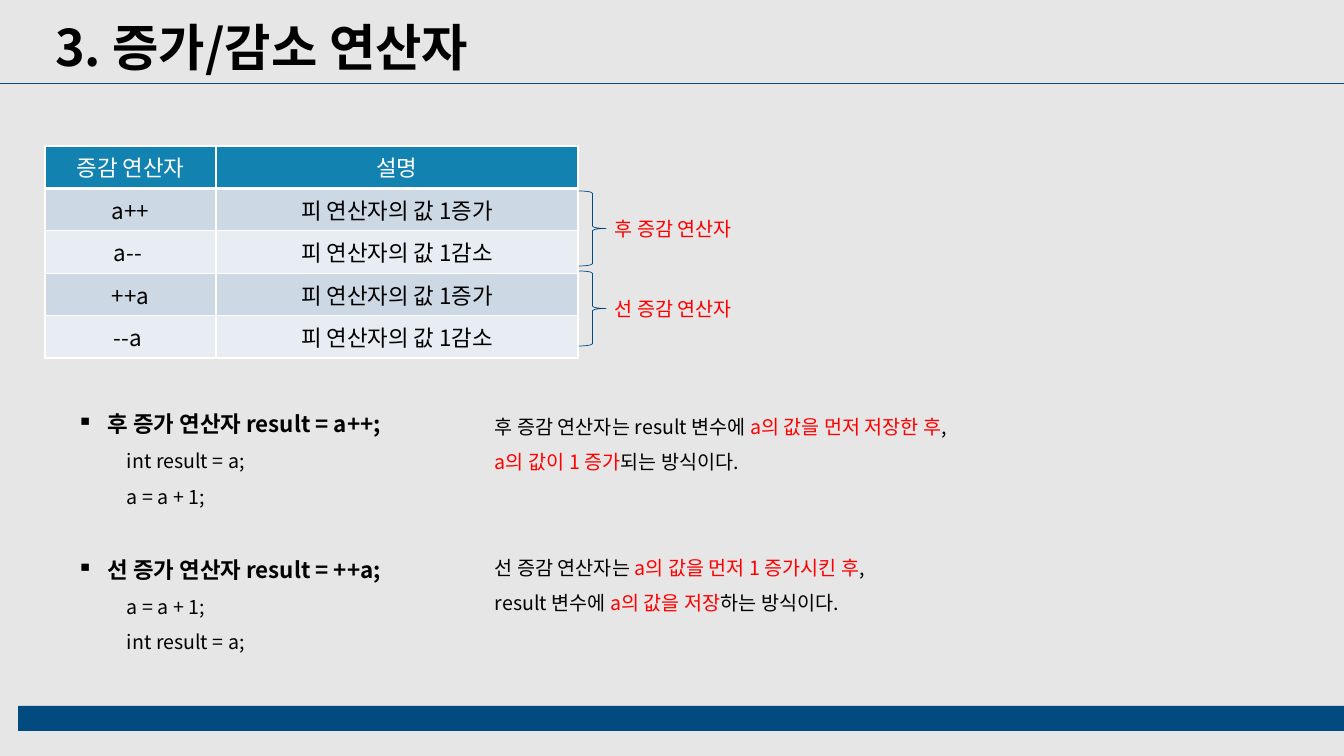
from collections import namedtuple
from dataclasses import dataclass

from lxml.etree import SubElement
from pptx import Presentation
from pptx.dml.color import RGBColor
from pptx.enum.shapes import MSO_CONNECTOR as Connector, MSO_SHAPE as Shape
from pptx.enum.text import MSO_ANCHOR as Anchor, MSO_AUTO_SIZE as AutoSize, PP_ALIGN as Align
from pptx.oxml.ns import qn
from pptx.util import Emu, Pt

Box = namedtuple("Box", "left top width height")


@dataclass(frozen=True)
class Theme:
    font: str = "Noto Sans CJK KR"
    page: str = "E7E6E6"
    navy: str = "024B80"
    header: str = "1282B0"
    bands: tuple = ("CCD8E4", "E7EDF2")
    ink: str = "000000"
    accent: str = "FF0000"
    white: str = "FFFFFF"
    title: int = 36
    heading: int = 16
    body: int = 14
    hairline: float = 0.5


THEME = Theme()
ROW_HEIGHT = 41
OPERATORS = [
    ("증감 연산자", "설명"),
    ("a++", "피 연산자의 값 1증가"),
    ("a-- ", "피 연산자의 값 1감소"),
    ("++a", "피 연산자의 값 1증가"),
    ("--a ", "피 연산자의 값 1감소"),
]
GROUPS = ["후 증감 연산자", "선 증감 연산자"]
EXAMPLES = [
    ("후 증가 연산자 result = a++;", ["int result = a;", "a = a + 1;"]),
    ("선 증가 연산자 result = ++a;", ["a = a + 1;", "int result = a;"]),
]
POST_NOTE = [
    [("후 증감 연산자는 result 변수에 ", THEME.ink), ("a의 값을 먼저 저장한 후", THEME.accent), (",", THEME.ink)],
    [("a의 값이 1 증가", THEME.accent), ("되는 방식이다.", THEME.ink)],
]
PRE_NOTE = [
    [("선 증감 연산자는 ", THEME.ink), ("a의 값을 먼저 1 증가시킨 후", THEME.accent), (",", THEME.ink)],
    [("result 변수에 ", THEME.ink), ("a의 값을 저장", THEME.accent), ("하는 방식이다.", THEME.ink)],
]


def px(length):
    return Emu(round(length * 914400 / 100.8))


def place(box):
    return [px(length) for length in box]


def apply(target, values):
    for name, value in values.items():
        setattr(target, name, value)


def add_span(para, text, size, color, bold=False):
    span = para.add_run()
    span.text = text
    apply(span.font, {"name": THEME.font, "size": Pt(size), "bold": bold})
    span.font.color.rgb = RGBColor.from_string(color)
    SubElement(span.font._element, qn("a:ea"), typeface=THEME.font)


def add_text_box(slide, box, anchor=Anchor.TOP):
    frame = slide.shapes.add_textbox(*place(box)).text_frame
    apply(frame, {"word_wrap": True, "vertical_anchor": anchor})
    return frame


def next_para(frame, index):
    return frame.add_paragraph() if index else frame.paragraphs[0]


def set_indent(para, margin, indent, bullet=None):
    props = para._p.get_or_add_pPr()
    props.set("marL", str(px(margin)))
    props.set("indent", str(px(indent)))
    if bullet:
        SubElement(props, qn("a:buChar"), char=bullet)


def set_line(shape):
    shape.line.color.rgb = RGBColor.from_string(THEME.navy)
    shape.line.width = Pt(THEME.hairline)


def set_borders(cell, widths):
    props = cell._tc.get_or_add_tcPr()
    for side, width in widths.items():
        line = SubElement(props, qn(f"a:ln{side}"), w=str(Pt(width)))
        fill = SubElement(line, qn("a:solidFill"))
        SubElement(fill, qn("a:srgbClr"), val=THEME.white)


def add_footer_bar(slide, box):
    bar = slide.shapes.add_shape(Shape.RECTANGLE, *place(box))
    bar.shadow.inherit = False
    bar.fill.solid()
    bar.fill.fore_color.rgb = RGBColor.from_string(THEME.navy)
    bar.line.fill.background()


def add_title(slide, box, text):
    title = slide.shapes.title
    apply(title, dict(zip(Box._fields, place(box))))
    frame = title.text_frame
    apply(frame, {"word_wrap": True, "auto_size": AutoSize.NONE, "vertical_anchor": Anchor.TOP})
    para = frame.paragraphs[0]
    para.alignment = Align.LEFT
    add_span(para, text, THEME.title, THEME.ink, True)
    bottom = px(box.top + box.height)
    rule = slide.shapes.add_connector(Connector.STRAIGHT, 0, bottom, px(1344), bottom)
    set_line(rule)
    SubElement(rule._element.spPr, qn("a:effectLst"))


def add_operator_table(slide, box):
    table = slide.shapes.add_table(len(OPERATORS), 2, *place(box)).table
    first_width = 171
    for column, width in zip(table.columns, (first_width, box.width - first_width)):
        column.width = px(width)
    for row_index, texts in enumerate(OPERATORS):
        table.rows[row_index].height = px(ROW_HEIGHT)
        is_header = row_index == 0
        fill = THEME.header if is_header else THEME.bands[(row_index - 1) % 2]
        color = THEME.white if is_header else THEME.ink
        widths = {"L": 1, "R": 1, "T": 3 if row_index == 1 else 1, "B": 3 if is_header else 1}
        for column_index, text in enumerate(texts):
            cell = table.cell(row_index, column_index)
            set_borders(cell, widths)
            cell.fill.solid()
            cell.fill.fore_color.rgb = RGBColor.from_string(fill)
            cell.vertical_anchor = Anchor.MIDDLE
            para = cell.text_frame.paragraphs[0]
            para.alignment = Align.CENTER
            add_span(para, text, THEME.heading, color)


def add_group(slide, box, label):
    brace_width = 27
    brace = slide.shapes.add_shape(Shape.RIGHT_BRACE, *place(box._replace(width=brace_width)))
    brace.shadow.inherit = False
    brace.fill.background()
    set_line(brace)
    label_box = Box(box.left + brace_width - 1, box.top + 21, box.width - brace_width, 34)
    frame = add_text_box(slide, label_box)
    add_span(frame.paragraphs[0], label, THEME.body, THEME.accent)


def add_examples(slide, box):
    frame = add_text_box(slide, box, Anchor.MIDDLE)
    for index, (heading, code_lines) in enumerate(EXAMPLES):
        para = next_para(frame, index)
        set_indent(para, 31, -31, "▪")
        para.line_spacing = 1.5
        if index:
            para.space_before = Pt(25)
        add_span(para, heading, THEME.heading, THEME.ink, True)
        for code in code_lines:
            para = frame.add_paragraph()
            set_indent(para, 50, 0)
            apply(para, {"level": 1, "line_spacing": 1.5})
            add_span(para, code, THEME.body, THEME.ink)


def add_note(slide, box, lines):
    frame = add_text_box(slide, box, Anchor.MIDDLE)
    for index, spans in enumerate(lines):
        para = next_para(frame, index)
        para.line_spacing = 1.5
        for text, color in spans:
            add_span(para, text, THEME.body, color)


def main():
    deck = Presentation()
    apply(deck, {"slide_width": px(1344), "slide_height": px(756)})
    slide = deck.slides.add_slide(deck.slide_layouts.get_by_name("Title Only"))
    slide.background.fill.solid()
    slide.background.fill.fore_color.rgb = RGBColor.from_string(THEME.page)

    add_footer_bar(slide, Box(18, 706, 1326, 25))
    add_title(slide, Box(45, 11, 878, 72), "3. 증가/감소 연산자")
    add_operator_table(slide, Box(45, 146, 533, ROW_HEIGHT * len(OPERATORS)))
    for index, label in enumerate(GROUPS):
        add_group(slide, Box(579, 191 + 80 * index, 181, 75), label)
    add_examples(slide, Box(67, 393, 352, 265))
    add_note(slide, Box(485, 400, 523, 77), POST_NOTE)
    add_note(slide, Box(485, 541, 440, 77), PRE_NOTE)
    deck.save("out.pptx")


if __name__ == "__main__":
    main()
